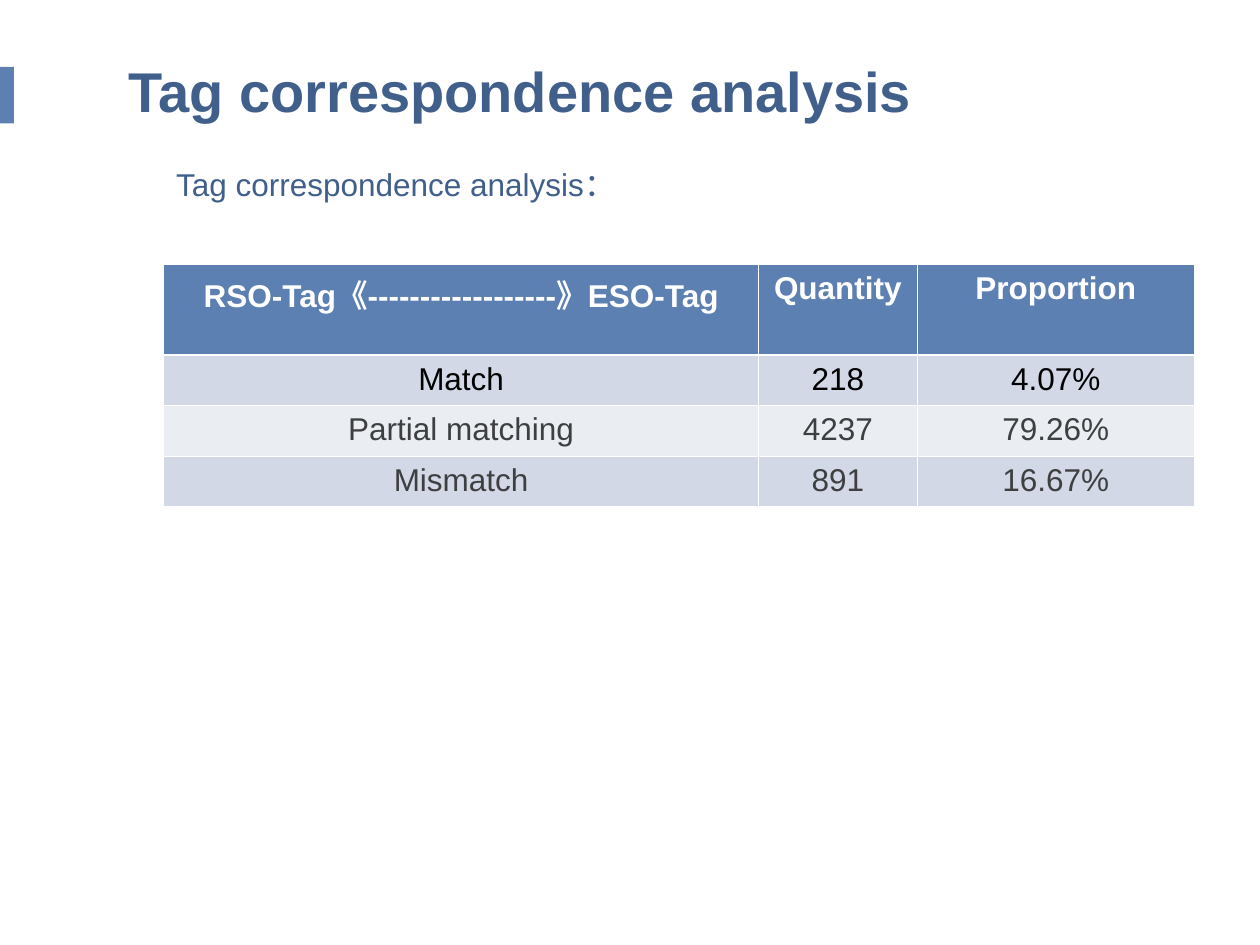
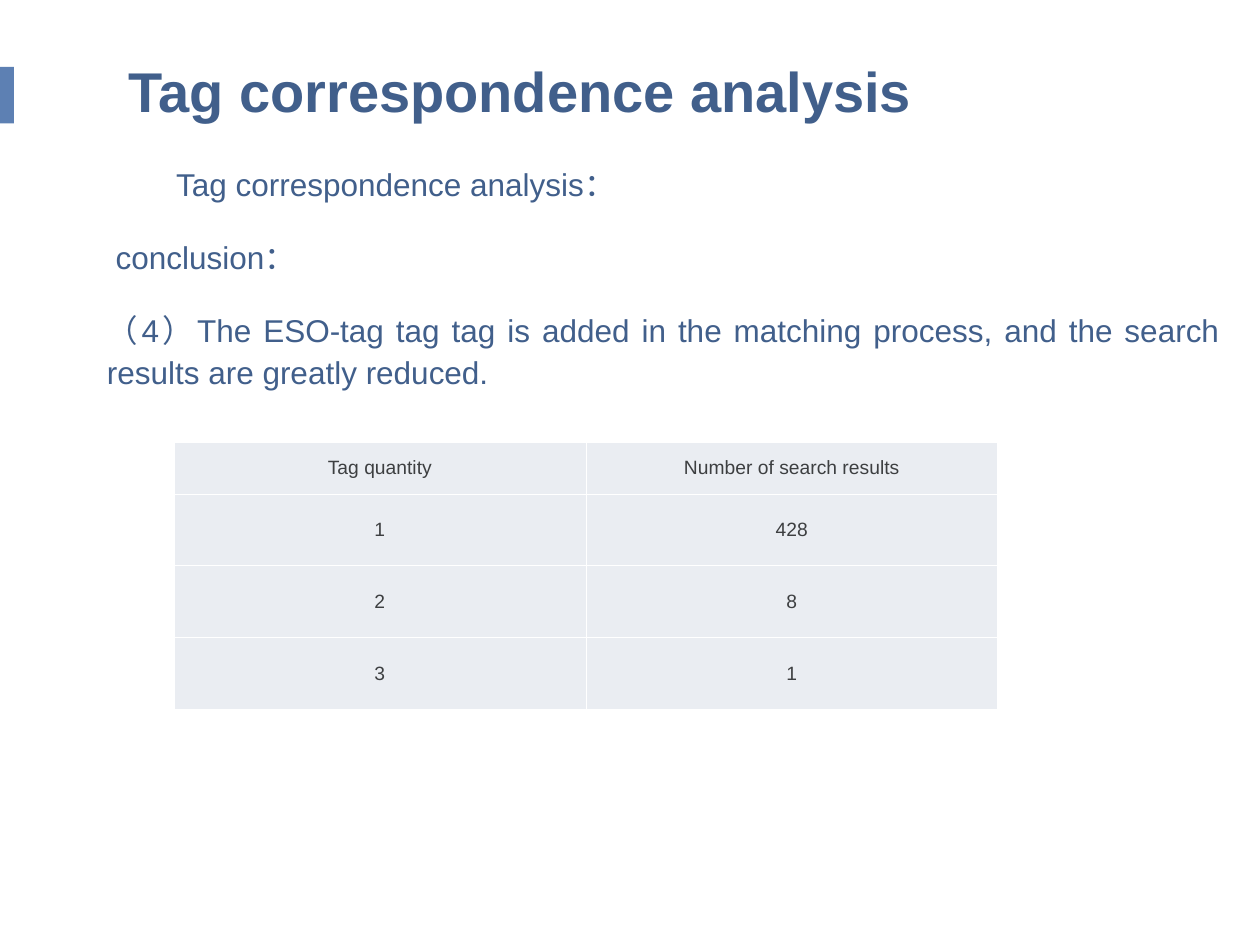
from dataclasses import dataclass

from lxml.etree import SubElement
from pptx import Presentation
from pptx.dml.color import RGBColor
from pptx.enum.shapes import MSO_SHAPE as SHAPE
from pptx.enum.text import MSO_ANCHOR as ANCHOR, PP_ALIGN as ALIGN
from pptx.oxml.ns import qn
from pptx.util import Inches, Pt


@dataclass(frozen=True)
class Theme:
    font: str = "Arial"
    accent: str = "5D80B3"
    heading: str = "415F8B"
    body: str = "3D3F41"
    black: str = "000000"
    white: str = "FFFFFF"
    band: str = "D2D8E5"
    pale: str = "EAEDF2"
    title_size: float = 32
    text_size: float = 18
    small_size: float = 11
    thin: float = 0.45
    thick: float = 1.47


class Deck:
    def __init__(self, theme):
        self.theme = theme
        self.prs = Presentation()
        self.prs.slide_width, self.prs.slide_height = Inches(10), Inches(7.5)
        self.s = None

    def slide(self, title):
        self.s = self.prs.slides.add_slide(self.prs.slide_layouts[6])
        self.bar(0, 0.53, 0.11, 0.45)
        p = self.box(0.49, 0.28, 7.28, 0.76, ANCHOR.BOTTOM).paragraphs[0]
        self.text(p, title, {"alignment": ALIGN.CENTER, "line_spacing": 0.9},
                  self.theme.title_size, self.theme.heading, True)

    def bar(self, *at):
        sp = self.s.shapes.add_shape(SHAPE.RECTANGLE, *map(Inches, at))
        sp.shadow.inherit = False
        sp.fill.solid()
        sp.fill.fore_color.rgb = RGBColor.from_string(self.theme.accent)
        sp.line.fill.background()

    def box(self, left, top, width, height, anchor=ANCHOR.TOP):
        sp = self.s.shapes.add_textbox(*map(Inches, (left, top, width, height)))
        tf = sp.text_frame
        tf.word_wrap = True
        tf.vertical_anchor = anchor
        return tf

    def text(self, p, words, layout, size, color, bold=False):
        for name, value in layout.items():
            setattr(p, name, value)
        r = p.add_run()
        r.text = words
        for name, value in {"name": self.theme.font, "size": Pt(size), "bold": bold}.items():
            setattr(r.font, name, value)
        r.font.color.rgb = RGBColor.from_string(color)

    def body(self, height, lines):
        tf = self.box(0.75, 1.23, 9.03, height)
        for i, (words, indent) in enumerate(lines):
            p = tf.paragraphs[0] if i == 0 else tf.add_paragraph()
            p_pr = p._p.get_or_add_pPr()
            p_pr.set("indent", str(Inches(indent)))
            layout = {"alignment": ALIGN.JUSTIFY, "line_spacing": 1.1,
                      "space_before": Pt(18 if i else 0)}
            self.text(p, words, layout, self.theme.text_size, self.theme.heading)

    def borders(self, cell, top, bottom):
        tc_pr = cell._tc.get_or_add_tcPr()
        thin = self.theme.thin
        for side, width in {"L": thin, "R": thin, "T": top, "B": bottom}.items():
            ln = SubElement(tc_pr, qn(f"a:ln{side}"), w=str(int(Pt(width))))
            fill = SubElement(ln, qn("a:solidFill"))
            SubElement(fill, qn("a:srgbClr"), val=self.theme.white)

    def table(self, left, top, cols, heights, rows, styles, size, header=False,
              anchor=ANCHOR.TOP, side=0.1):
        t = self.theme
        at = map(Inches, (left, top, sum(cols), sum(heights)))
        tbl = self.s.shapes.add_table(len(rows), len(cols), *at).table
        tbl.first_row, tbl.horz_banding = header, False
        for col, width in zip(tbl.columns, cols):
            col.width = Inches(width)
        for i, (row, (fill, color)) in enumerate(zip(rows, styles)):
            tbl.rows[i].height = Inches(heights[i])
            for j, words in enumerate(row):
                cell = tbl.cell(i, j)
                form = {"vertical_anchor": anchor,
                        "margin_left": Inches(side), "margin_right": Inches(side),
                        "margin_top": Inches(0.05), "margin_bottom": Inches(0.05)}
                for name, value in form.items():
                    setattr(cell, name, value)
                self.borders(cell, t.thick if header and i == 1 else t.thin,
                             t.thick if header and i == 0 else t.thin)
                cell.fill.solid()
                cell.fill.fore_color.rgb = RGBColor.from_string(fill)
                self.text(cell.text_frame.paragraphs[0], words, {"alignment": ALIGN.CENTER},
                          size, color, header and i == 0)


def main():
    """Build the two tag correspondence slides."""
    t = Theme()
    deck = Deck(t)
    title = "Tag correspondence analysis"
    lead = (f"{title}：", 0.55)

    deck.slide(title)
    deck.body(5.75, [lead])
    matches = [("RSO-Tag《------------------》ESO-Tag", "Quantity", "Proportion"),
               ("Match", "218", "4.07%"),
               ("Partial matching", "4237", "79.26%"),
               ("Mismatch", "891", "16.67%")]
    styles = [(t.accent, t.white), (t.band, t.black), (t.pale, t.body), (t.band, t.body)]
    deck.table(1.3, 2.1, [4.72, 1.26, 2.2], [0.72] + [0.4] * 3, matches, styles,
               t.text_size, header=True)

    deck.slide(title)
    deck.body(6.14, [lead, ("conclusion：", 0.07),
                     ("（4）The ESO-tag tag tag is added in the matching process, "
                      "and the search results are greatly reduced.", 0)])
    results = [("Tag quantity", "Number of search results"),
               ("1", "428"), ("2", "8"), ("3", "1")]
    deck.table(1.38, 3.51, [3.27] * 2, [0.41] + [0.57] * 3, results,
               [(t.pale, t.body)] * len(results), t.small_size,
               anchor=ANCHOR.MIDDLE, side=0.01)

    deck.prs.save("out.pptx")


if __name__ == "__main__":
    main()
